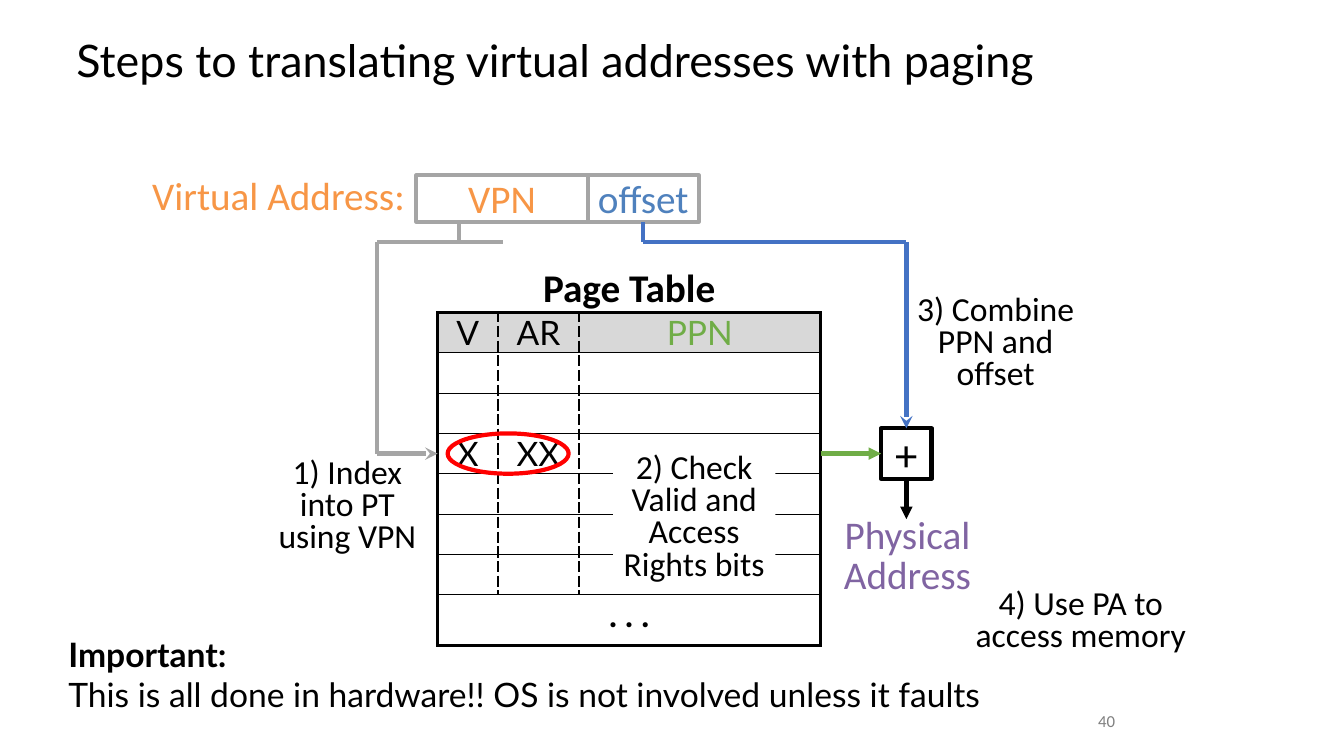
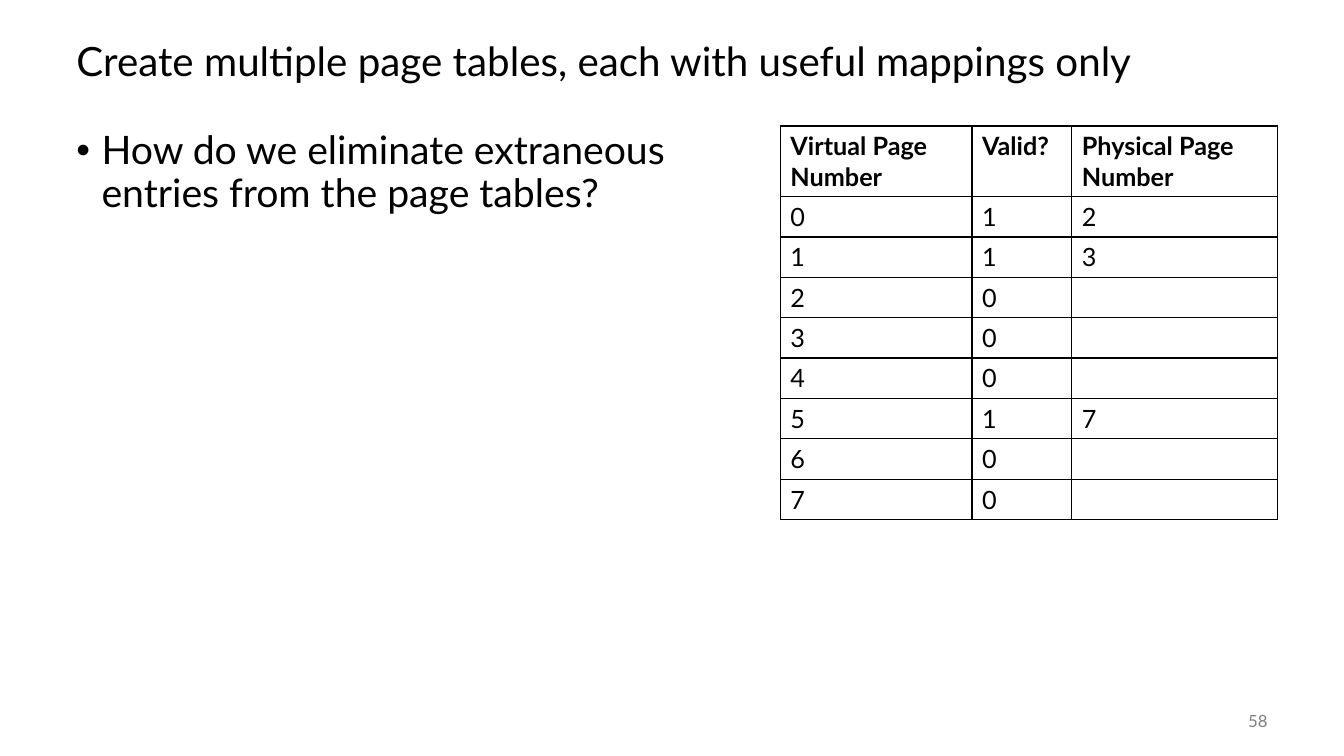
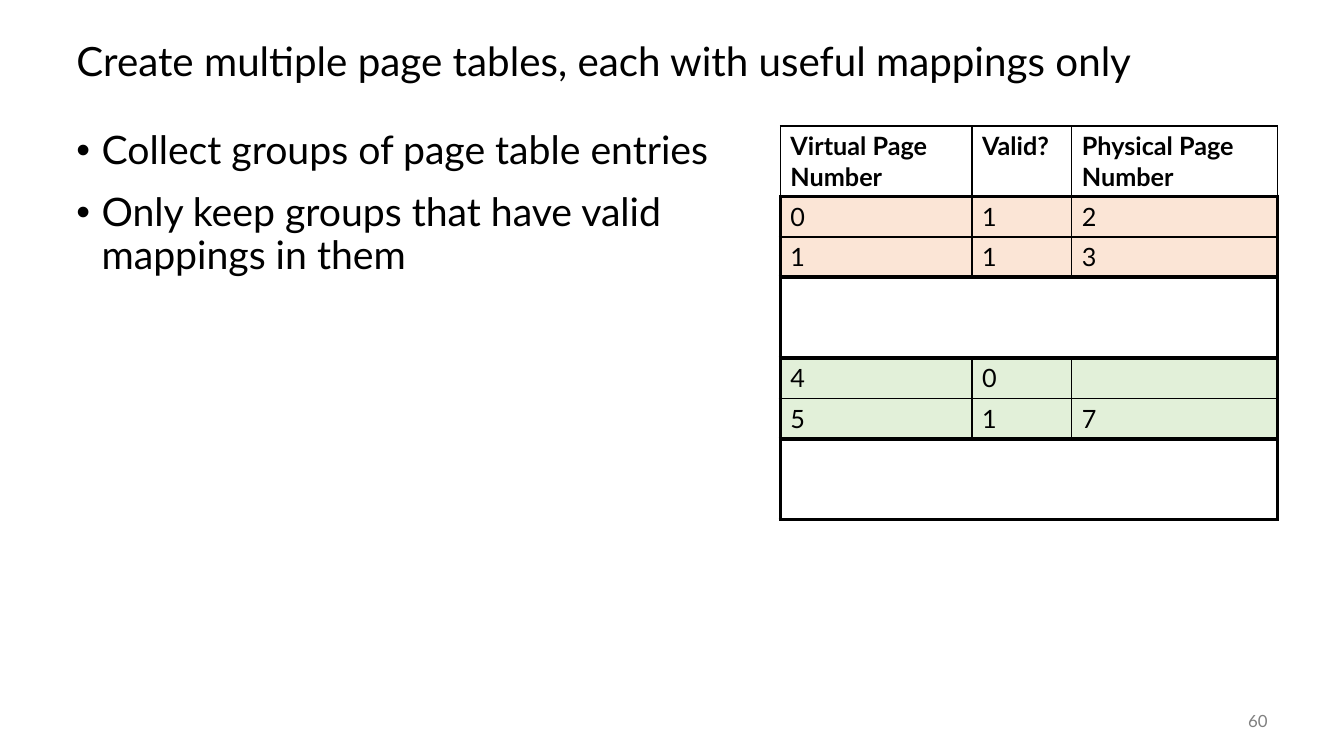
from lxml import etree
from pptx import Presentation
from pptx import util as u
from pptx.dml.color import RGBColor
from pptx.enum import shapes, text
from pptx.oxml import ns

BLACK = RGBColor(0x00, 0x00, 0x00)
WHITE = RGBColor(0xFF, 0xFF, 0xFF)
GRAY = RGBColor(0x80, 0x80, 0x80)
PALE = RGBColor(0xD8, 0xD8, 0xD8)
STEEL = RGBColor(0xA5, 0xA5, 0xA5)
ORANGE = RGBColor(0xF7, 0x96, 0x46)
BLUE = RGBColor(0x4F, 0x81, 0xBD)
ROYAL = RGBColor(0x44, 0x72, 0xC4)
GREEN = RGBColor(0x70, 0xAD, 0x47)
PURPLE = RGBColor(0x80, 0x64, 0xA2)
RED = RGBColor(0xFF, 0x00, 0x00)
PEACH = RGBColor(0xFB, 0xE5, 0xD6)
MINT = RGBColor(0xE2, 0xF0, 0xD9)

LEFT, CENTER, RIGHT = text.PP_ALIGN.LEFT, text.PP_ALIGN.CENTER, text.PP_ALIGN.RIGHT
TOP, MIDDLE = text.MSO_ANCHOR.TOP, text.MSO_ANCHOR.MIDDLE
RECT, OVAL = shapes.MSO_SHAPE.RECTANGLE, shapes.MSO_SHAPE.OVAL

WIDE = (0.1, 0.05, 0.1, 0.05)
SLIM = (0.07, 0.03, 0.07, 0.03)
FIELD = (0.07, 0.1, 0.07, 0)
NONE = (0, 0, 0, 0)


def inches(values):
    return [u.Inches(v) for v in values]


def add(parent, tag, **attrs):
    return etree.SubElement(parent, ns.qn(tag), attrs)


class Deck:
    """Shared style and the slide being built."""

    HEAD = "Lato"
    BODY = "Calibri"

    def __init__(self):
        self.prs = Presentation()
        self.prs.slide_width, self.prs.slide_height = inches((13.33, 7.5))
        self.slide = None

    # Slide frame: title and number
    def start(self, title, size):
        self.slide = self.prs.slides.add_slide(self.prs.slide_layouts[6])
        self.label((0.66, 0.25, 12, 0.75), title, size, font=self.HEAD,
                   align=LEFT, anchor=MIDDLE, space=0.9)

    def number(self, value, left=11.67, width=1, font=HEAD):
        self.label((left, 6.95, width, 0.4), value, 12, GRAY, font,
                   align=RIGHT, anchor=MIDDLE)

    # Text
    def style(self, para, size, color=BLACK, font=BODY, bold=False, align=CENTER, space=None):
        para.alignment = align
        if space:
            para.line_spacing = space
        for run in para.runs:
            run.font.size = u.Pt(size)
            run.font.name = font
            run.font.bold = bold
            run.font.color.rgb = color

    def letter(self, shape, words, size, color=BLACK, font=BODY, bold=False,
               align=CENTER, anchor=TOP, ins=WIDE, space=None):
        frame = shape.text_frame
        frame.word_wrap = True
        frame.vertical_anchor = anchor
        (frame.margin_left, frame.margin_top,
         frame.margin_right, frame.margin_bottom) = inches(ins)
        frame.text = words
        for para in frame.paragraphs:
            self.style(para, size, color, font, bold, align, space)
        return shape

    def label(self, at, words, size, *args, **look):
        return self.letter(self.slide.shapes.add_textbox(*inches(at)), words, size, *args, **look)

    def step(self, at, words):
        self.label(at, words, 24, space=0.8)

    def bullets(self, width, words):
        box = self.label((0.66, 1.25, width, 5.5), words, 28, font=self.HEAD,
                         align=LEFT, space=0.9)
        for i, para in enumerate(box.text_frame.paragraphs):
            if i:
                para.space_before = u.Pt(14)
            props = para._p.get_or_add_pPr()
            props.set("marL", str(u.Inches(0.25)))
            props.set("indent", str(u.Inches(-0.25)))
            add(props, "a:buFont", typeface="Arial")
            add(props, "a:buChar", char="•")

    # Shapes and lines
    def shape(self, kind, at, line=None, fill=None):
        item = self.slide.shapes.add_shape(kind, *inches(at))
        item.shadow.inherit = False
        if fill is None:
            item.fill.background()
        else:
            item.fill.solid()
            item.fill.fore_color.rgb = fill
        if line is None:
            item.line.fill.background()
        else:
            item.line.color.rgb = line
            item.line.width = u.Pt(3)
        return item

    def line(self, start, end, color, head=None, first=None, last=None):
        item = self.slide.shapes.add_connector(
            shapes.MSO_CONNECTOR.STRAIGHT, *inches(start + end))
        item.line.color.rgb = color
        item.line.width = u.Pt(3)
        props = item._element.spPr
        if head:
            add(props.get_or_add_ln(), "a:tailEnd", type=head)
        add(props, "a:effectLst")
        if first:
            item.begin_connect(*first)
        if last:
            item.end_connect(*last)

    # Tables: across(h) and down(row, v) give the rule's width, 0 for none
    def table(self, at, cols, rows, cells, across, down, tint, look, ins=WIDE, bold=False):
        grid = self.slide.shapes.add_table(
            len(rows), len(cols), *inches(at + (sum(cols), sum(rows)))).table
        grid.first_row = grid.horz_banding = False
        for col, width in zip(grid.columns, cols):
            col.width = u.Inches(width)
        for r, height in enumerate(rows):
            grid.rows[r].height = u.Inches(height)
            for c in range(len(cols)):
                cell = grid.cell(r, c)
                (cell.margin_left, cell.margin_top,
                 cell.margin_right, cell.margin_bottom) = inches(ins)
                words = cells[r][c] if c < len(cells[r]) else ""
                if words:
                    cell.text = words
                    self.style(cell.text_frame.paragraphs[0],
                               bold=bold and r == 0, **look)
                self.edge(cell, "L", down(r, c))
                self.edge(cell, "R", down(r, c + 1))
                self.edge(cell, "T", across(r))
                self.edge(cell, "B", across(r + 1))
                if r in tint:
                    cell.fill.solid()
                    cell.fill.fore_color.rgb = tint[r]
                else:
                    cell.fill.background()
        return grid

    def edge(self, cell, side, width):
        rule = add(cell._tc.get_or_add_tcPr(), "a:ln" + side, w=str(u.Pt(width)))
        if not width:
            add(rule, "a:noFill")
            return
        add(add(rule, "a:solidFill"), "a:srgbClr", val=str(BLACK))
        if width == 1.5:
            add(rule, "a:prstDash", val="lgDash")

    def pages(self, cells, across, down, tint):
        look = {"size": 18, "font": self.HEAD, "align": LEFT}
        names = ("Virtual Page Number", "Valid?", "Physical Page Number")
        self.table((7.74, 1.25), (1.9, 0.99, 2.04), [0.7] + [0.4] * 8,
                   [names] + cells, across, down, tint, look, bold=True)


def steps(deck):
    deck.start("Steps to translating virtual addresses with paging", 32)
    deck.number("40", 8.83, 2.33, deck.BODY)

    # Page table
    cells = [("V", "AR", "PPN"), (), (), ("X", "XX"), (), (), (), (". . .",)]
    grid = deck.table(
        (4.34, 3.1), (0.6, 0.8, 2.4), [0.4] * 7 + [0.5], cells,
        across=lambda h: 2.25 if h in (0, 8) else 1,
        down=lambda r, v: 2.25 if r == 7 or v in (0, 3) else 1.5,
        tint={0: PALE}, look={"size": 24, "font": deck.HEAD, "align": CENTER}, ins=NONE)
    grid.cell(0, 2).text_frame.paragraphs[0].runs[0].font.color.rgb = GREEN
    grid.cell(7, 0).merge(grid.cell(7, 2))
    grid.cell(7, 0).text_frame.paragraphs[0].runs[0].font.bold = True
    deck.label((4.34, 2.65, 3.8, 0.46), "Page Table", 28, bold=True, ins=SLIM, space=0.85)

    # Virtual address
    deck.label((1.44, 1.74, 2.67, 0.46), "Virtual Address:", 28, ORANGE,
               align=LEFT, ins=SLIM, space=0.85)
    fields = [
        deck.letter(deck.shape(RECT, (left, 1.74, width, 0.46), STEEL), words, 28, color,
                    ins=FIELD, space=0.75)
        for left, width, words, color in (
            (4.13, 1.7, "VPN", ORANGE), (5.83, 1.1, "offset", BLUE))]

    # Step 1: index
    deck.line((3.74, 4.5), (4.34, 4.5), STEEL, "stealth")
    deck.line((3.74, 4.5), (3.74, 2.4), STEEL)
    deck.line((3.74, 2.4), (4.99, 2.4), STEEL)
    deck.line((4.55, 2.4), (4.55, 2.2), STEEL)
    deck.step((2.64, 4.5, 1.61, 1.08), "1) Index into PT using VPN")

    # Step 2: check
    deck.letter(deck.shape(RECT, (6.08, 4.5, 1.61, 1.3), fill=WHITE),
                "2) Check Valid and Access Rights bits", 24, ins=NONE, space=0.8)
    deck.shape(OVAL, (4.44, 4.3, 1.2, 0.4), RED)

    # Step 3: combine
    plus = deck.letter(deck.shape(RECT, (8.74, 4.25, 0.5, 0.5), BLACK), "+", 32,
                       anchor=MIDDLE, ins=NONE)
    deck.line((8.14, 4.5), (8.74, 4.5), GREEN, "triangle", last=(plus, 1))
    deck.line((8.99, 4.75), (8.99, 5.15), BLACK, "triangle", first=(plus, 2))
    deck.line((8.99, 2.4), (8.99, 4.25), ROYAL, "stealth", last=(plus, 0))
    deck.line((6.38, 2.4), (8.99, 2.4), ROYAL)
    deck.line((6.38, 2.4), (6.38, 2.2), ROYAL, last=(fields[1], 2))
    deck.step((8.99, 2.88, 1.77, 1.08), "3) Combine PPN and offset")
    deck.label((8.29, 5.1, 1.42, 0.86), "Physical\nAddress", 28, PURPLE, ins=SLIM, space=0.85)

    # Step 4 and remark
    deck.step((9.47, 5.8, 2.5, 1.07), "4) Use PA to access memory")
    note = deck.label(
        (0.58, 6.24, 9.6, 0.91),
        "Important:\vThis is all done in hardware!! OS is not involved unless it faults",
        24, font=deck.HEAD, align=LEFT)
    note.text_frame.paragraphs[0].runs[0].font.bold = True


def split(deck):
    title = "Create multiple page tables, each with useful mappings only"
    frames = {0: "2", 1: "3", 5: "7"}
    cells = [(str(n), "1" if n in frames else "0", frames.get(n, "")) for n in range(8)]

    # Full table
    deck.start(title, 28.8)
    deck.bullets(6.46, "How do we eliminate extraneous entries from the page tables?")
    deck.number("58")
    deck.pages(cells, lambda h: 1, lambda r, v: 1, {})

    # Grouped table: pairs of rows framed, groups without mappings left empty
    empty = (3, 4, 7, 8)

    def across(h):
        if h in (4, 8):
            return 0
        return 3 if h % 2 else 1

    def down(r, v):
        if v in (0, 3):
            return 3 if r else 1
        return 0 if r in empty else 1

    deck.start(title, 28.8)
    deck.number("60")
    kept = [() if r in empty else row for r, row in enumerate(cells, 1)]
    tint = {1: PEACH, 2: PEACH, 5: MINT, 6: MINT, **dict.fromkeys(empty, WHITE)}
    deck.pages(kept, across, down, tint)
    deck.bullets(6.93, "Collect groups of page table entries\n"
                       "Only keep groups that have valid mappings in them")


def main():
    deck = Deck()
    steps(deck)
    split(deck)
    deck.prs.save("out.pptx")


if __name__ == "__main__":
    main()
